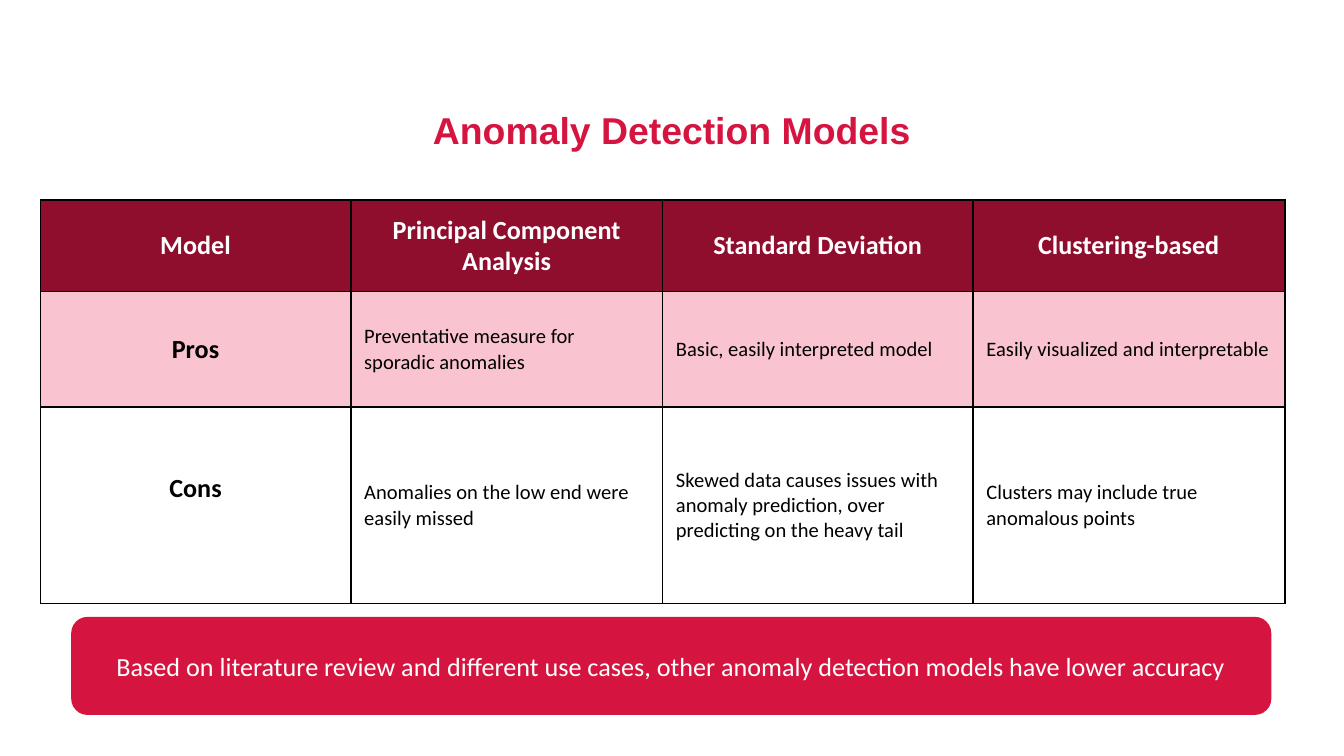
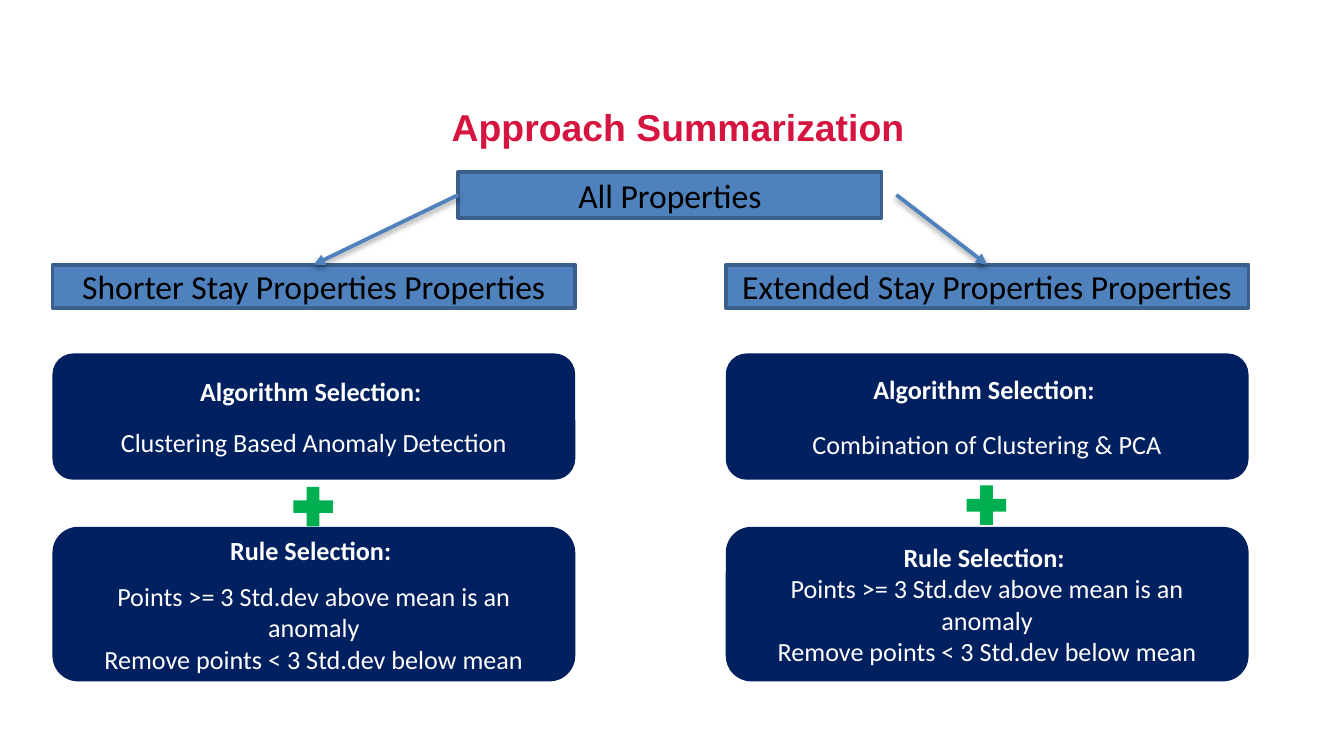
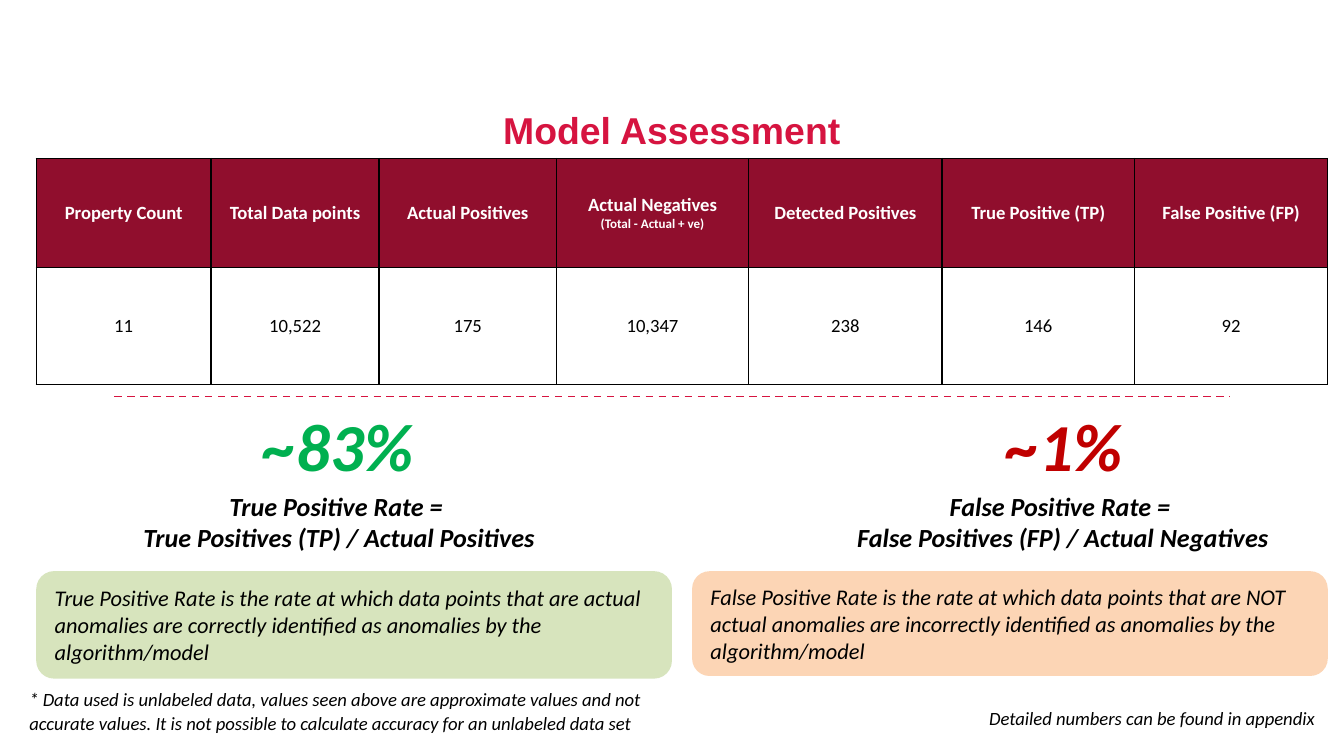
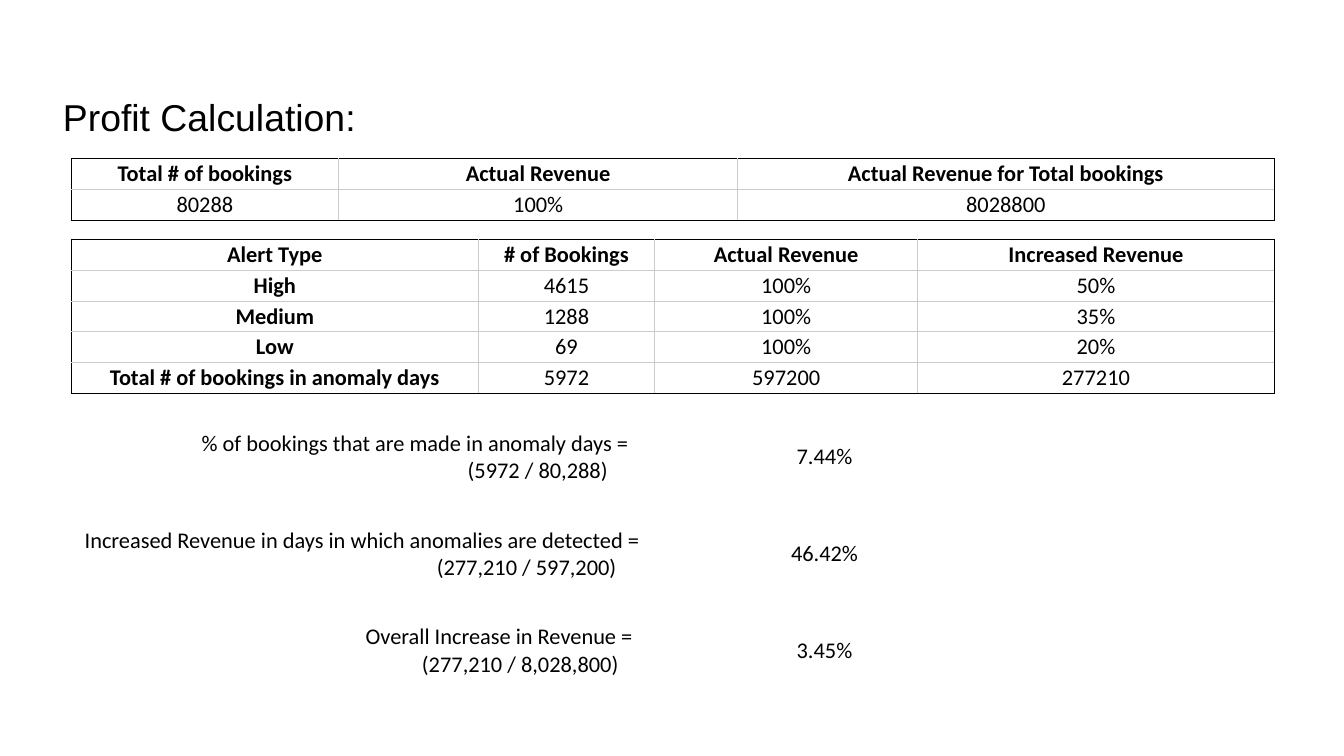
from dataclasses import dataclass, field, replace
from typing import NamedTuple, Optional

from lxml.etree import SubElement
from pptx import Presentation
from pptx.dml.color import RGBColor
from pptx.enum.dml import MSO_LINE
from pptx.enum.shapes import MSO_CONNECTOR, MSO_SHAPE
from pptx.enum.text import MSO_ANCHOR, PP_ALIGN
from pptx.oxml.ns import qn
from pptx.util import Emu, Pt

PX = 9144  # 100 px to the inch

# Colours
BLACK, WHITE, GREY = "000000", "FFFFFF", "CCCCCC"
CRIMSON, MAROON, PINK = "D61440", "900E2D", "F9C3D0"
NAVY, BLUE, BLUE_EDGE = "002060", "4F81BD", "3A5F8C"
GREEN, RED, PALE_GREEN, PEACH = "00B050", "C00000", "D7E4BD", "FCD5B5"

LEFT, CENTER, RIGHT = PP_ALIGN.LEFT, PP_ALIGN.CENTER, PP_ALIGN.RIGHT
TOP, MIDDLE = MSO_ANCHOR.TOP, MSO_ANCHOR.MIDDLE


class Box(NamedTuple):
    left: int
    top: int
    width: int
    height: int


@dataclass(frozen=True)
class Style:
    size: float
    color: str = BLACK
    bold: bool = False
    italic: bool = False
    name: str = "Calibri"
    align: PP_ALIGN = CENTER


@dataclass(frozen=True)
class Line:
    text: str
    style: Style
    indent: int = 0
    spacing: dict = field(default_factory=dict)


@dataclass(frozen=True)
class Cell:
    lines: list
    fill: Optional[str] = None
    extra_bottom: int = 0


@dataclass(frozen=True)
class Grid:
    left: int
    top: int
    columns: list
    rows: list
    cells: list
    outer: Optional[str] = BLACK
    inner: Optional[str] = BLACK
    border: float = 1
    margins: tuple = (10, 5)


# Shared text styles
TITLE = Style(20, CRIMSON, bold=True, name="Arial")
TITLE_BOX = Box(37, 78, 926, 37)
HEAD = Style(14, WHITE, bold=True)
BODY = Style(14, WHITE)


# Helpers
def px(length: float) -> Emu:
    return Emu(round(length * PX))


def rgb(color: str) -> RGBColor:
    return RGBColor.from_string(color)


def set_values(target, values: dict) -> None:
    for name, value in values.items():
        setattr(target, name, value)


def write(frame, lines: list) -> None:
    for number, line in enumerate(lines):
        paragraph = frame.add_paragraph() if number else frame.paragraphs[0]
        style = line.style
        if line.indent:
            paragraph._p.get_or_add_pPr().set("marL", str(px(line.indent)))
        set_values(paragraph, {"alignment": style.align, **line.spacing})
        run = paragraph.add_run()
        run.text = line.text
        set_values(run.font, {"name": style.name, "size": Pt(style.size),
                              "bold": style.bold, "italic": style.italic})
        run.font.color.rgb = rgb(style.color)


def add_text(slide, box: Box, lines: list, anchor=TOP):
    shape = slide.shapes.add_textbox(*map(px, box))
    set_values(shape.text_frame, {"word_wrap": True, "vertical_anchor": anchor})
    write(shape.text_frame, lines)
    return shape


def add_title(slide, text: str, box: Box = TITLE_BOX, style: Style = TITLE) -> None:
    add_text(slide, box, [Line(text, style)], MIDDLE)


def add_block(slide, kind, box: Box, fill: str, lines=(), edge: Optional[str] = None):
    shape = slide.shapes.add_shape(kind, *map(px, box))
    shape.shadow.inherit = False
    shape.fill.solid()
    shape.fill.fore_color.rgb = rgb(fill)
    if edge:
        shape.line.color.rgb = rgb(edge)
        shape.line.width = Pt(2)
    else:
        shape.line.fill.background()
    set_values(shape.text_frame, {"word_wrap": True, "vertical_anchor": MIDDLE})
    write(shape.text_frame, lines)
    return shape


def add_line(slide, start: tuple, end: tuple, color: str, width: float):
    connector = slide.shapes.add_connector(MSO_CONNECTOR.STRAIGHT, *map(px, start + end))
    connector.line.color.rgb = rgb(color)
    connector.line.width = Pt(width)
    return connector


def add_effects(connector):
    return SubElement(connector._element.spPr, qn("a:effectLst"))


def add_arrow(slide, start: tuple, end: tuple):
    connector = add_line(slide, start, end, BLUE, 2)
    SubElement(connector.line._get_or_add_ln(), qn("a:tailEnd"), type="triangle")
    shadow = SubElement(add_effects(connector), qn("a:outerShdw"), blurRad="40000",
                        dist="20000", dir="5400000", rotWithShape="0")
    color = SubElement(shadow, qn("a:srgbClr"), val=BLACK)
    SubElement(color, qn("a:alpha"), val="38000")
    return connector


def set_border(cell, side: str, color: Optional[str], width: float) -> None:
    line = SubElement(cell._tc.get_or_add_tcPr(), qn(f"a:ln{side}"), w=str(Pt(width)))
    if color:
        SubElement(SubElement(line, qn("a:solidFill")), qn("a:srgbClr"), val=color)
    else:
        SubElement(line, qn("a:noFill"))


def add_grid(slide, grid: Grid) -> None:
    row_count, column_count = len(grid.rows), len(grid.columns)
    table = slide.shapes.add_table(
        row_count, column_count, px(grid.left), px(grid.top),
        px(sum(grid.columns)), px(sum(grid.rows))).table
    set_values(table, {"first_row": False, "horz_banding": False})
    for column, width in zip(table.columns, grid.columns):
        column.width = px(width)
    for row, height in zip(table.rows, grid.rows):
        row.height = px(height)
    side_margin, end_margin = grid.margins
    for r, row_cells in enumerate(grid.cells):
        for c, content in enumerate(row_cells):
            cell = table.cell(r, c)
            set_values(cell, {"margin_left": px(side_margin), "margin_right": px(side_margin),
                              "margin_top": px(end_margin),
                              "margin_bottom": px(end_margin + content.extra_bottom),
                              "vertical_anchor": MIDDLE})
            on_edge = {"L": c == 0, "R": c == column_count - 1,
                       "T": r == 0, "B": r == row_count - 1}
            for side, is_outer in on_edge.items():
                set_border(cell, side, grid.outer if is_outer else grid.inner, grid.border)
            if content.fill:
                cell.fill.solid()
                cell.fill.fore_color.rgb = rgb(content.fill)
            else:
                cell.fill.background()
            write(cell.text_frame, content.lines)


def text_cells(texts: list, style: Style, fill: Optional[str] = None) -> list:
    return [Cell([Line(text, style)], fill) for text in texts]


# Slide 1: comparison of models
def build_models(slide) -> None:
    label = replace(HEAD, color=BLACK)
    remark = Style(11, align=LEFT)
    pros = ["Preventative measure for sporadic anomalies", "Basic, easily interpreted model",
            "Easily visualized and interpretable"]
    cons = ["Anomalies on the low end were easily missed",
            "Skewed data causes issues with anomaly prediction, "
            "over predicting on the heavy tail",
            "Clusters may include true anomalous points"]
    add_grid(slide, Grid(30, 149, [231, 232, 231, 232], [68, 86, 146], [
        text_cells(["Model", "Principal Component Analysis", "Standard Deviation",
                    "Clustering-based"], HEAD, MAROON),
        text_cells(["Pros"], label, PINK) + text_cells(pros, remark, PINK),
        [Cell([Line("Cons", label)], extra_bottom=25)] + text_cells(cons, remark),
    ]))
    add_title(slide, "Anomaly Detection Models")
    add_block(slide, MSO_SHAPE.ROUNDED_RECTANGLE, Box(53, 459, 893, 73), CRIMSON,
              [Line("Based on literature review and different use cases, "
                    "other anomaly detection models have lower accuracy", BODY)])


# Slide 2: decision tree
class Branch(NamedTuple):
    left: int
    name: str
    algorithm: str
    algorithm_gap: int
    rule_gap: int
    plus_top: int


def build_approach(slide) -> None:
    add_title(slide, "Approach Summarization ", Box(53, 76, 911, 37))
    width, plus = 389, 40
    bar_text = Style(18)
    bars = []
    for branch in (
        Branch(39, "Shorter Stay", "Clustering Based Anomaly Detection", 11, 8, 357),
        Branch(540, "Extended Stay", "Combination of Clustering & PCA", 13, 0, 356),
    ):
        cards = [
            (263, 94, [Line("Algorithm Selection: ", HEAD),
                       Line(branch.algorithm, BODY,
                            spacing={"space_before": Pt(branch.algorithm_gap)})]),
            (392, 115, [Line("Rule Selection: ", HEAD),
                        Line("Points >= 3 Std.dev above mean is an anomaly", BODY,
                             spacing={"space_before": Pt(branch.rule_gap)}),
                        Line("Remove points < 3 Std.dev below mean", BODY)]),
        ]
        for top, height, lines in cards:
            add_block(slide, MSO_SHAPE.ROUNDED_RECTANGLE,
                      Box(branch.left, top, width, height), NAVY, lines)
        add_block(slide, MSO_SHAPE.MATH_PLUS,
                  Box(branch.left + (width - plus) // 2, branch.plus_top, plus, plus), GREEN)
        bars.append(add_block(slide, MSO_SHAPE.RECTANGLE, Box(branch.left, 197, width, 32), BLUE,
                              [Line(f"{branch.name} Properties Properties", bar_text)],
                              BLUE_EDGE))
    root = add_block(slide, MSO_SHAPE.RECTANGLE, Box(341, 128, 315, 34), BLUE,
                     [Line("All Properties", bar_text)], BLUE_EDGE)
    arrows = [add_arrow(slide, (341, 145), (233, 197)), add_arrow(slide, (667, 145), (734, 197))]
    arrows[0].begin_connect(root, 1)
    for arrow, bar in zip(arrows, bars):
        arrow.end_connect(bar, 0)


# Slide 3: rates
class Rate(NamedTuple):
    value: str
    color: str
    value_box: Box
    formula: list
    formula_box: Box
    meaning: str
    meaning_box: Box
    fill: str


def build_assessment(slide) -> None:
    note = Style(10, italic=True, align=LEFT)
    note_spacing = {"line_spacing": 1.07, "space_after": Pt(8)}
    for box, text, align in (
        (Box(628, 520, 360, 27), "Detailed numbers can be found in appendix", RIGHT),
        (Box(12, 506, 518, 45),
         "* Data used is unlabeled data, values seen above are approximate values and not "
         "accurate values. It is not possible to calculate accuracy for an unlabeled data set",
         LEFT),
    ):
        add_text(slide, box, [Line(text, replace(note, align=align), spacing=note_spacing)])
    add_title(slide, "Model Assessment")

    divider = add_line(slide, (85, 295), (915, 295), CRIMSON, 1)
    divider.line.dash_style = MSO_LINE.DASH
    add_effects(divider)

    head = replace(HEAD, size=10)
    headers = text_cells(["Property Count", "Total Data points", "Actual Positives",
                          "Actual Negatives", "Detected Positives", "True Positive (TP)",
                          "False Positive (FP)"], head, MAROON)
    headers[3].lines.append(Line("(Total - Actual + ve)", replace(head, size=7)))
    values = ["11", "10,522", "175", "10,347", "238", "146", "92"]
    add_grid(slide, Grid(27, 118, [130, 125, 132, 143, 144, 143, 144], [81, 87],
                         [headers, text_cells(values, Style(10))], border=0.75))

    formula_style = Style(14, bold=True, italic=True)
    meaning_style = Style(12, italic=True, align=LEFT)
    for rate in (
        Rate("~83%", GREEN, Box(180, 296, 144, 71),
             ["True Positive Rate = ", "True Positives (TP) / Actual Positives"],
             Box(51, 360, 403, 57),
             "True Positive Rate is the rate at which data points that are actual anomalies "
             "are correctly identified as anomalies by the algorithm/model",
             Box(27, 425, 473, 80), PALE_GREEN),
        Rate("~1%", RED, Box(728, 296, 128, 71),
             ["False Positive Rate = ", "False Positives (FP) / Actual Negatives"],
             Box(620, 360, 342, 57),
             "False Positive Rate is the rate at which data points that are NOT actual anomalies "
             "are incorrectly identified as anomalies by the algorithm/model",
             Box(515, 425, 473, 78), PEACH),
    ):
        add_text(slide, rate.value_box,
                 [Line(rate.value, replace(formula_style, size=36, color=rate.color))])
        add_text(slide, rate.formula_box, [Line(text, formula_style) for text in rate.formula])
        add_block(slide, MSO_SHAPE.ROUNDED_RECTANGLE, rate.meaning_box, rate.fill,
                  [Line(rate.meaning, meaning_style)])


# Slide 4: profit
class Result(NamedTuple):
    left: int
    label: str
    label_indent: int
    formula: str
    formula_indent: int
    value: str


def build_profit(slide) -> None:
    add_title(slide, "Profit Calculation:", Box(37, 69, 926, 35),
              Style(20, name="Arial", align=LEFT))
    plain = Style(12)
    bold = replace(plain, bold=True)
    alerts = [["High", "4615", "100%", "50%"],
              ["Medium", "1288", "100%", "35%"],
              ["Low", "69", "100%", "20%"],
              ["Total # of bookings in anomaly days", "5972", "597200", "277210"]]
    alert_cells = [text_cells(["Alert Type", "# of Bookings", "Actual Revenue",
                               "Increased Revenue"], bold)]
    alert_cells += [text_cells(row[:1], bold) + text_cells(row[1:], plain) for row in alerts]
    total_cells = [text_cells(["Total # of bookings", "Actual Revenue",
                               "Actual Revenue for Total bookings"], bold),
                   text_cells(["80288", "100%", "8028800"], plain)]
    for top, columns, cells in ((178, [303, 131, 196, 265], alert_cells),
                                (118, [199, 297, 399], total_cells)):
        add_grid(slide, Grid(53, top, columns, [23] * len(cells), cells,
                             inner=GREY, border=0.5, margins=(2, 1)))

    left_text = replace(plain, align=LEFT)
    value_left, value_width = 536, 155
    for number, result in enumerate((
        Result(45, "% of bookings that are made in anomaly days =", 95,
               "(5972 / 80,288)", 293, "7.44%"),
        Result(53, "Increased Revenue in days in which anomalies are detected =", 0,
               "(277,210 / 597,200)", 262, "46.42%"),
        Result(53, "Overall Increase in Revenue =", 209,
               "(277,210 / 8,028,800)", 251, "3.45%"),
    )):
        explanation = Cell([Line(result.label, left_text, result.label_indent),
                            Line(result.formula, left_text, result.formula_indent)])
        add_grid(slide, Grid(result.left, 315 + 72 * number,
                             [value_left - result.left, value_width], [50],
                             [[explanation] + text_cells([result.value], plain)],
                             outer=None, inner=None))


def main() -> None:
    presentation = Presentation()
    set_values(presentation, {"slide_width": px(1000), "slide_height": px(562.5)})
    for build in (build_models, build_approach, build_assessment, build_profit):
        build(presentation.slides.add_slide(presentation.slide_layouts[6]))
    presentation.save("out.pptx")


if __name__ == "__main__":
    main()
